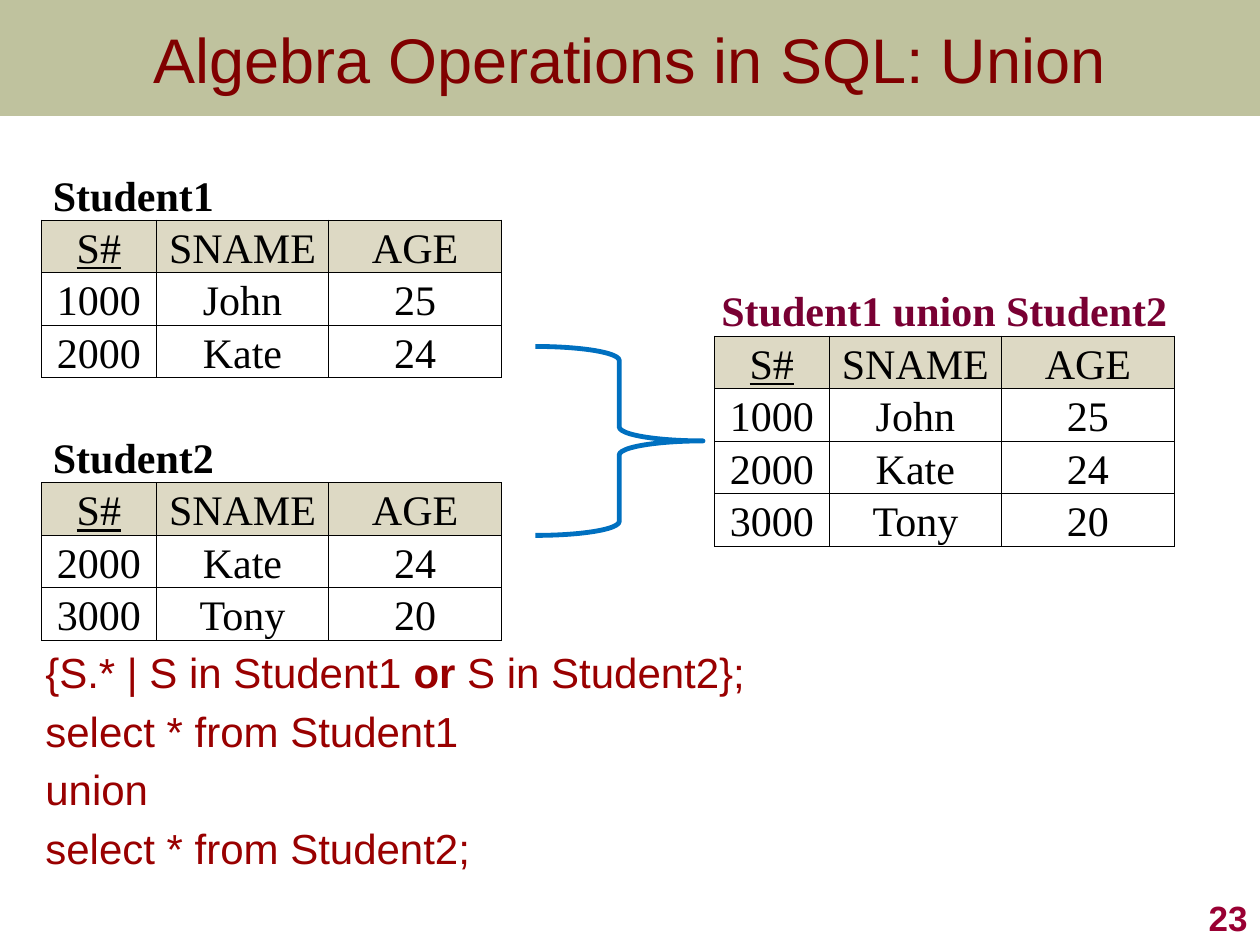
from dataclasses import dataclass

import lxml.etree
import pptx
import pptx.dml.color
import pptx.enum.shapes
import pptx.enum.text
import pptx.oxml.ns
import pptx.util

Inches = pptx.util.Inches
Pt = pptx.util.Pt
ALIGN = pptx.enum.text.PP_ALIGN
ANCHOR = pptx.enum.text.MSO_ANCHOR
qn = pptx.oxml.ns.qn

HEAD = ("S#", "SNAME", "AGE")
JOHN = ("1000", "John", "25")
KATE = ("2000", "Kate", "24")
TONY = ("3000", "Tony", "20")
WIDTHS = (0.91, 1.37, 1.37)
HEIGHT = 5 / 12


@dataclass
class Block:
    label: str
    rows: tuple
    span: int = 2
    ink: str = "000000"
    align: int = ALIGN.LEFT
    indent: float = 0.09


@dataclass
class Grid:
    left: float
    top: float
    blocks: tuple


GRIDS = (
    Grid(0.33, 1.33, (Block("Student1", (JOHN, KATE)), Block("Student2", (KATE, TONY)))),
    Grid(5.67, 2.25, (Block("Student1 union Student2", (JOHN, KATE, TONY), 3, "790033", ALIGN.CENTER, 0.01),)),
)

LINES = (
    (("{S.* | S in Student1 ", False), ("or", True), (" S in Student2};", False)),
    (("select * from Student1", False),),
    (("union", False),),
    (("select * from Student2;", False),),
)


def rgb(code: str) -> pptx.dml.color.RGBColor:
    return pptx.dml.color.RGBColor.from_string(code)


def add_run(para, text: str, size: float, ink: str, face: str = "Arial", bold: bool = False, under: bool = False) -> None:
    run = para.add_run()
    run.text = text
    font = run.font
    font.name, font.size, font.bold, font.underline = face, Pt(size), bold, under
    font.color.rgb = rgb(ink)


def place(shape, left: float, top: float, width: float, height: float) -> None:
    shape.left, shape.top = Inches(left), Inches(top)
    shape.width, shape.height = Inches(width), Inches(height)


def style_cell(cell, fill: str, sides: str) -> None:
    props = cell._tc.get_or_add_tcPr()
    for side in "LRTB":
        line = lxml.etree.SubElement(props, qn("a:ln" + side), w=str(Pt(0.5)))
        if side in sides:
            solid = lxml.etree.SubElement(line, qn("a:solidFill"))
            lxml.etree.SubElement(solid, qn("a:srgbClr"), val="000000")
        else:
            lxml.etree.SubElement(line, qn("a:noFill"))
    cell.fill.solid()
    cell.fill.fore_color.rgb = rgb(fill)
    cell.margin_left = cell.margin_right = cell.margin_top = Inches(0.01)
    cell.margin_bottom = 0
    cell.vertical_anchor = ANCHOR.BOTTOM


def write_cell(cell, text: str, align: int, ink: str = "000000", bold: bool = False, under: bool = False) -> None:
    para = cell.text_frame.paragraphs[0]
    para.alignment = align
    add_run(para, text, 24, ink, "Times New Roman", bold, under)


def draw_grid(slide, grid: Grid) -> None:
    count = sum(len(block.rows) + 2 for block in grid.blocks) + len(grid.blocks) - 1
    frame = slide.shapes.add_table(
        count, len(WIDTHS), Inches(grid.left), Inches(grid.top), Inches(sum(WIDTHS)), Inches(count * HEIGHT))
    table = frame.table
    table.first_row = table.horz_banding = False
    for col, width in zip(table.columns, WIDTHS):
        col.width = Inches(width)
    for row in table.rows:
        row.height = Inches(HEIGHT)
    top = 0
    for block in grid.blocks:
        if top:
            for cell in table.rows[top].cells:
                style_cell(cell, "FFFFFF", "T")
            top += 1
        for cell in table.rows[top].cells:
            style_cell(cell, "FFFFFF", "B")
        label = table.cell(top, 0)
        label.merge(table.cell(top, block.span - 1))
        label.margin_left = Inches(block.indent)
        write_cell(label, block.label, block.align, block.ink, bold=True)
        for step, row in enumerate((HEAD,) + block.rows, top + 1):
            for cell, text in zip(table.rows[step].cells, row):
                style_cell(cell, "DDD9C4" if row is HEAD else "FFFFFF", "LRTB")
                write_cell(cell, text, ALIGN.CENTER, under=text == HEAD[0])
        top += len(block.rows) + 2


def draw_title(slide) -> None:
    title = slide.shapes.title
    place(title, 0, 0, 10, 0.92)
    title.fill.solid()
    title.fill.fore_color.rgb = rgb("6E7524")
    tint = title.fill._xPr.find(".//" + qn("a:srgbClr"))
    lxml.etree.SubElement(tint, qn("a:alpha"), val="44000")
    frame = title.text_frame
    frame.auto_size = pptx.enum.text.MSO_AUTO_SIZE.NONE
    frame.vertical_anchor = ANCHOR.MIDDLE
    para = frame.paragraphs[0]
    para.alignment = ALIGN.CENTER
    add_run(para, "Algebra Operations in SQL: Union", 36, "800000")


def draw_body(slide) -> None:
    body = slide.placeholders[1]
    place(body, 0.26, 5.08, 9.49, 2)
    frame = body.text_frame
    frame.auto_size = pptx.enum.text.MSO_AUTO_SIZE.NONE
    frame.margin_right = 0
    for step, line in enumerate(LINES):
        para = frame.add_paragraph() if step else frame.paragraphs[0]
        props = para._p.get_or_add_pPr()
        props.set("marL", "0")
        props.set("indent", "0")
        lxml.etree.SubElement(props, qn("a:buNone"))
        for text, bold in line:
            add_run(para, text, 24, "990000", bold=bold)


def draw_brace(slide) -> None:
    brace = slide.shapes.add_shape(
        pptx.enum.shapes.MSO_SHAPE.RIGHT_BRACE, Inches(4.25), Inches(2.75), Inches(1.33), Inches(1.5))
    brace.shadow.inherit = False
    brace.fill.background()
    brace.line.color.rgb = rgb("0070C0")
    brace.line.width = Pt(2.75)


def draw_page(slide) -> None:
    box = slide.shapes.add_textbox(Inches(7.92), Inches(7), Inches(2.08), Inches(0.5))
    frame = box.text_frame
    frame.word_wrap = True
    frame.vertical_anchor = ANCHOR.BOTTOM
    para = frame.paragraphs[0]
    para.alignment = ALIGN.RIGHT
    add_run(para, "23", 20, "990033", bold=True)


def main() -> None:
    deck = pptx.Presentation()
    deck.slide_width, deck.slide_height = Inches(10), Inches(7.5)
    slide = deck.slides.add_slide(deck.slide_layouts[1])
    draw_title(slide)
    draw_body(slide)
    draw_page(slide)
    draw_brace(slide)
    for grid in GRIDS:
        draw_grid(slide, grid)
    deck.save("out.pptx")


if __name__ == "__main__":
    main()
